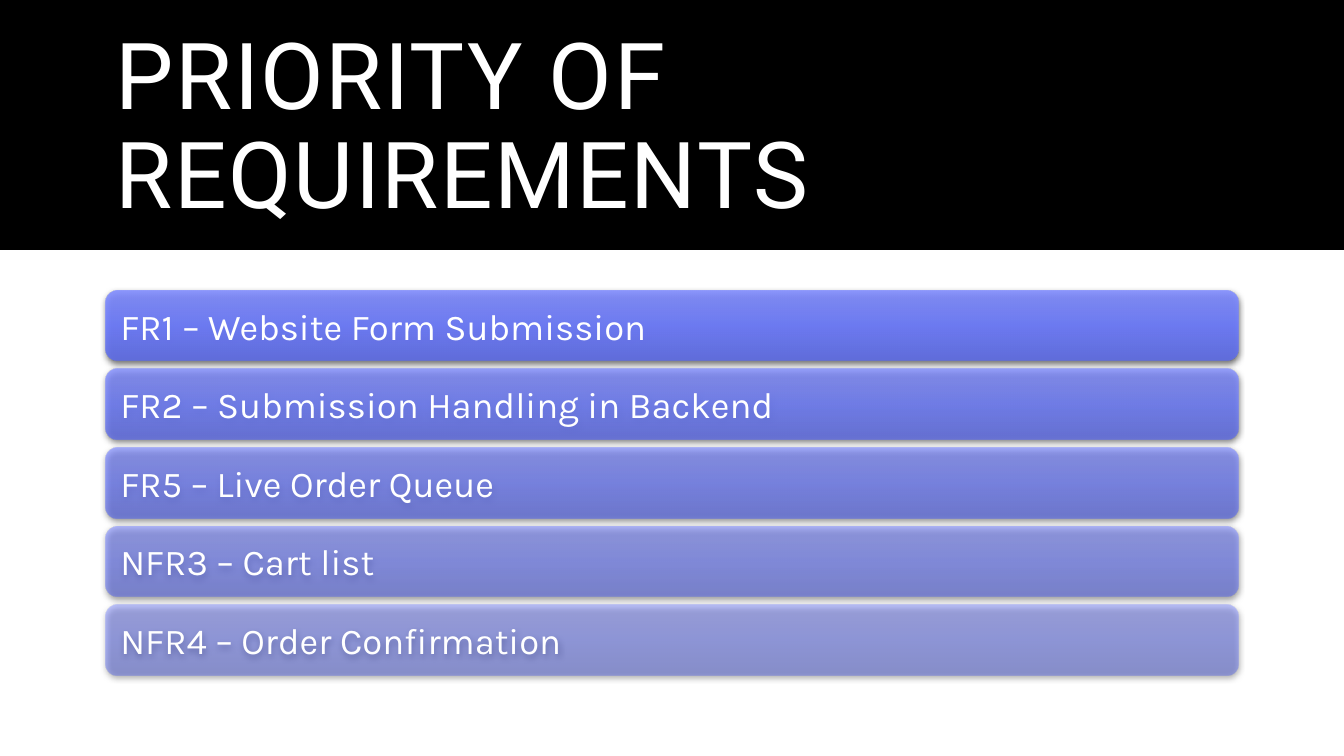
from lxml import etree
from pptx import Presentation
from pptx.dml.color import RGBColor
from pptx.enum import shapes, text
from pptx.oxml import ns
from pptx.util import Inches, Pt

LEFT, WIDTH = 1.05, 11.23
BAR_TOP, BAR_HEIGHT, BAR_PITCH = 2.88, 0.7, 0.78
GRADIENT = [(0, "838FFF"), (50, "6D7CFF"), (100, "5F6DE5")]
REQUIREMENTS = [
    "FR1 – Website Form Submission",
    "FR2 – Submission Handling in Backend",
    "FR5 – Live Order Queue",
    "NFR3 – Cart list",
    "NFR4 – Order Confirmation",
]


def rgb(value):
    return RGBColor.from_string(value)


def add_node(parent, tag, **attrs):
    node = etree.SubElement(parent, ns.qn(tag))
    for name, value in attrs.items():
        node.set(name, str(value))
    return node


def add_color(parent, value, alpha):
    color = add_node(parent, "a:srgbClr", val=value)
    add_node(color, "a:alpha", val=alpha * 1000)


def add_box(slide, kind, left, top, width, height):
    sp = slide.shapes.add_shape(kind, Inches(left), Inches(top), Inches(width), Inches(height))
    sp.line.fill.background()
    sp.shadow.inherit = False
    return sp


def set_gradient(sp, alpha):
    sp.fill.gradient()
    sp.fill.gradient_angle = 270
    stops = sp._element.spPr.find(".//" + ns.qn("a:gsLst"))
    for stop in list(stops):
        stops.remove(stop)
    for position, value in GRADIENT:
        add_color(add_node(stops, "a:gs", pos=position * 1000), value, alpha)


def set_shadow(sp):
    effects = sp._element.spPr.find(ns.qn("a:effectLst"))
    shadow = add_node(effects, "a:outerShdw", blurRad=Pt(4.5), dist=Pt(1.5),
                      dir=90 * 60000, algn="ctr", rotWithShape=0)
    add_color(shadow, "000000", 63)


def set_text(sp, content, font, size):
    tf = sp.text_frame
    tf.word_wrap = True
    tf.vertical_anchor = text.MSO_ANCHOR.MIDDLE
    p = tf.paragraphs[0]
    p.alignment = text.PP_ALIGN.LEFT
    p.font.name = font
    p.font.size = Pt(size)
    p.font.color.rgb = rgb("FFFFFF")
    r = p.add_run()
    r.text = content
    return p, r


def add_title(slide, content):
    band = add_box(slide, shapes.MSO_SHAPE.RECTANGLE, 0, 0, 13.33, 2.48)
    band.fill.solid()
    band.fill.fore_color.rgb = rgb("000000")
    title = slide.shapes.add_textbox(Inches(LEFT), Inches(0.35), Inches(WIDTH), Inches(1.86))
    p, r = set_text(title, content, "Roboto", 66)
    p.line_spacing = 0.9
    r.font._element.set("spc", "120")


def add_bar(slide, index, content):
    sp = add_box(slide, shapes.MSO_SHAPE.ROUNDED_RECTANGLE,
                 LEFT, BAR_TOP + index * BAR_PITCH, WIDTH, BAR_HEIGHT)
    set_gradient(sp, 90 - 10 * index)
    set_shadow(sp)
    set_text(sp, content, "Karla", 26)
    tf = sp.text_frame
    tf.margin_left = tf.margin_right = tf.margin_top = tf.margin_bottom = Inches(0.11)


def main():
    prs = Presentation()
    prs.slide_width, prs.slide_height = Inches(13.33), Inches(7.5)
    slide = prs.slides.add_slide(prs.slide_layouts[6])
    add_title(slide, "PRIORITY OF REQUIREMENTS")
    for index, requirement in enumerate(REQUIREMENTS):
        add_bar(slide, index, requirement)
    prs.save("out.pptx")


if __name__ == "__main__":
    main()
